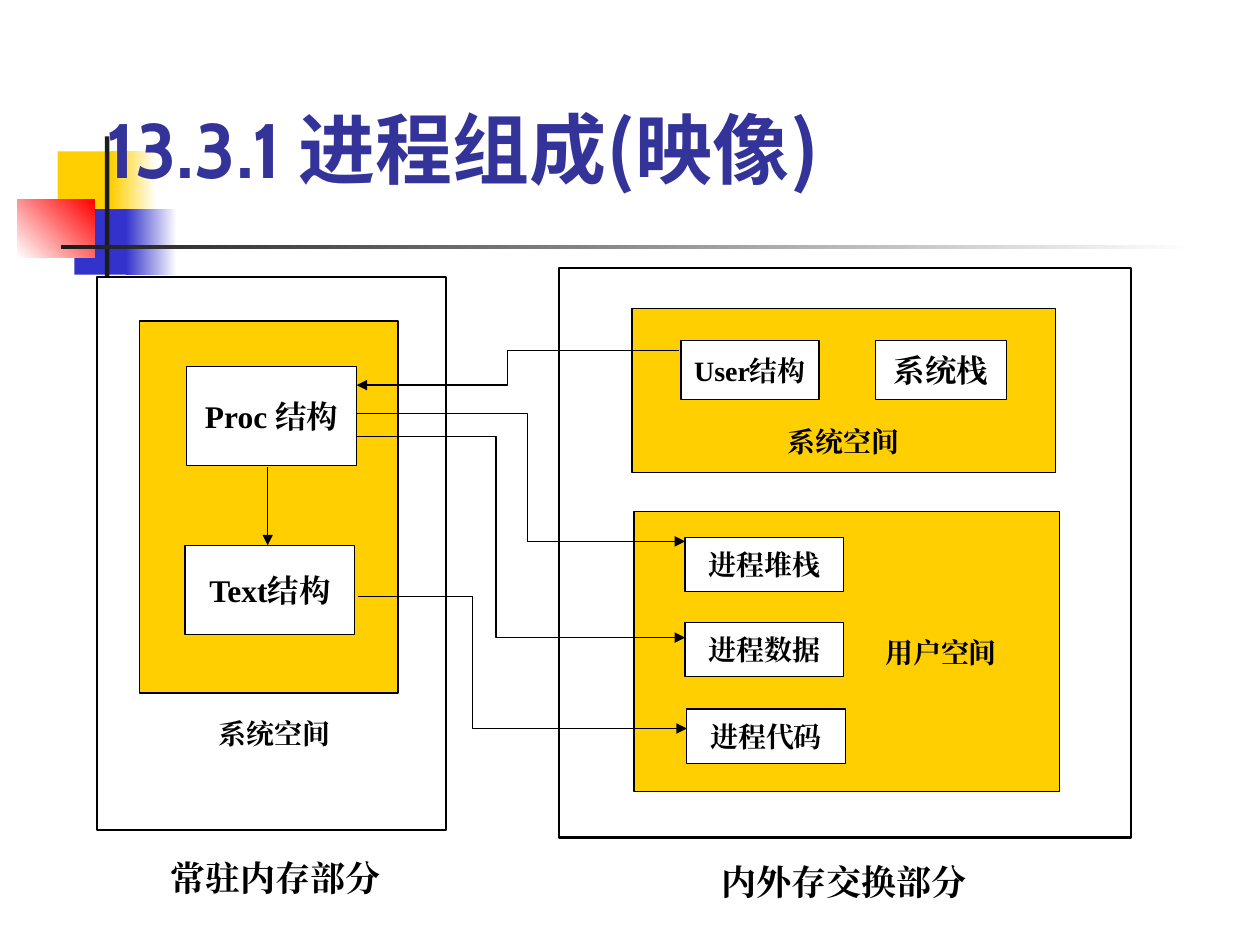
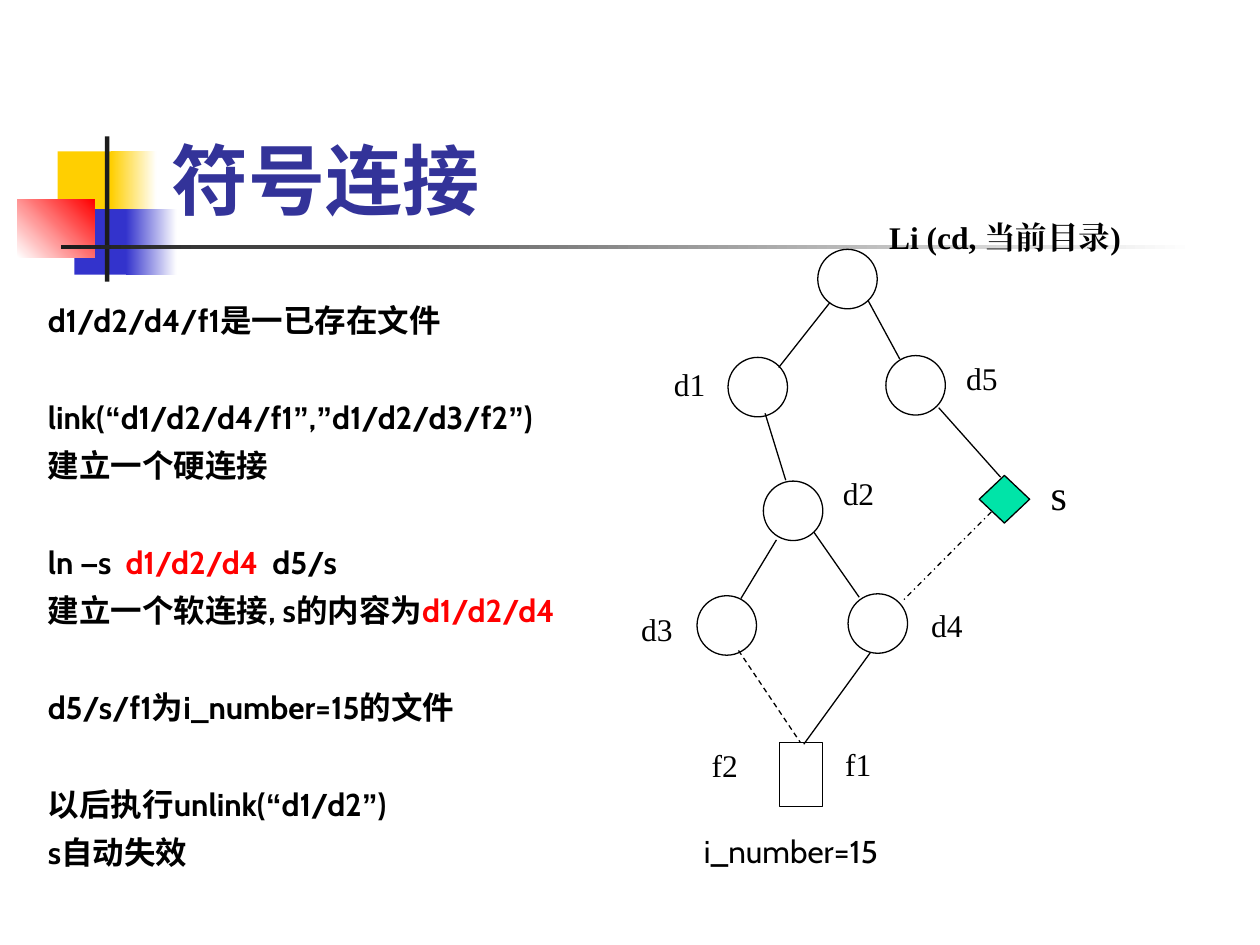
from itertools import groupby

from lxml import etree
from pptx import Presentation
from pptx.dml.color import RGBColor
from pptx.enum.dml import MSO_LINE as DASH
from pptx.enum.shapes import MSO_CONNECTOR, MSO_SHAPE as SHAPE
from pptx.enum.text import MSO_ANCHOR as ANCHOR, PP_ALIGN as ALIGN
from pptx.oxml.ns import qn
from pptx.util import Pt

BLACK = RGBColor(0x00, 0x00, 0x00)
WHITE = RGBColor(0xFF, 0xFF, 0xFF)
DARK = RGBColor(0x1C, 0x1C, 0x1C)
YELLOW = RGBColor(0xFF, 0xCF, 0x01)
BLUE = RGBColor(0x33, 0x33, 0xCC)
RED = RGBColor(0xFF, 0x00, 0x00)
GREEN = RGBColor(0x00, 0xE4, 0xA8)
TITLE_COLOR = RGBColor(0x33, 0x33, 0x99)
SERIF, SANS, CJK, QUOTES = "Times New Roman", "Cabin", "Noto Sans CJK SC", "Arial"
THIN = 0.75


def add_box(slide, kind, bounds, fill=None, line_width=THIN):
    shape = slide.shapes.add_shape(kind, *[Pt(value) for value in bounds])
    shape.shadow.inherit = False
    if fill is None:
        shape.fill.background()
    else:
        shape.fill.solid()
        shape.fill.fore_color.rgb = fill
    if line_width:
        shape.line.color.rgb = BLACK
        shape.line.width = Pt(line_width)
    else:
        shape.line.fill.background()
    return shape


def write(paragraph, text, size, font=SERIF, bold=True, color=BLACK):
    run = paragraph.add_run()
    run.text = text
    run.font.name = font
    run.font.size = Pt(size)
    run.font.bold = bold
    run.font.color.rgb = color
    east_asian = etree.SubElement(run.font._element, qn("a:ea"))
    east_asian.set("typeface", font)


presentation = Presentation()
presentation.slide_width, presentation.slide_height = Pt(720), Pt(540)
blank = presentation.slide_layouts[6]
process_slide = presentation.slides.add_slide(blank)
link_slide = presentation.slides.add_slide(blank)

# Shared decoration: bounds, first colour, second colour, gradient angle
decoration = [
    ((33, 86.5, 34.5, 37.5), YELLOW, None, 0),
    ((63.5, 86.5, 26, 37.5), YELLOW, WHITE, 0),
    ((42.5, 119.5, 33, 37.5), BLUE, None, 0),
    ((72, 119.5, 29, 37.5), BLUE, WHITE, 0),
    ((10, 114, 44, 33), WHITE, RED, 45),
    ((60, 78, 2.5, 83), DARK, None, 0),
    ((35, 140, 648, 2.5), DARK, WHITE, 0),
]
titles = [
    (process_slide, (54, 24.5, 612, 90), [("13.3.1 进程组成", SANS), ("(映像)", CJK)]),
    (link_slide, (90.7, 16.5, 613.5, 115.5), [("符号连接", SANS)]),
]
for slide, bounds, parts in titles:
    for block, start, end, angle in decoration:
        shape = add_box(slide, SHAPE.RECTANGLE, block, start, 0)
        if end is not None:
            shape.fill.gradient()
            shape.fill.gradient_angle = angle
            for stop, color in zip(shape.fill.gradient_stops, (start, end)):
                stop.color.rgb = color
    title = slide.shapes.add_textbox(*[Pt(value) for value in bounds])
    title.text_frame.word_wrap = True
    title.text_frame.vertical_anchor = ANCHOR.BOTTOM
    for text, font in parts:
        write(title.text_frame.paragraphs[0], text, 44, font, True, TITLE_COLOR)

# Slide 1: memory areas
add_box(process_slide, SHAPE.RECTANGLE, (55.4, 158.5, 199.4, 316), WHITE, 1.25)
add_box(process_slide, SHAPE.RECTANGLE, (319.5, 153.2, 327, 325.4), WHITE, 1.25)
add_box(process_slide, SHAPE.RECTANGLE, (79.8, 183.5, 147.6, 212.5), YELLOW)
system_space = add_box(process_slide, SHAPE.RECTANGLE, (361.2, 176.5, 242, 93.5), YELLOW)
user_space = add_box(process_slide, SHAPE.RECTANGLE, (362.3, 292.5, 243, 160), YELLOW)

# Slide 1: structures and process parts
boxes = [
    ((106.7, 209.3, 97, 56.7), "Proc 结构", 18),
    ((105.8, 311.6, 97, 51), "Text结构", 18),
    ((389.2, 194.5, 78.8, 34), "User结构", 16),
    ((500.5, 194.5, 74.5, 34), "系统栈", 18),
    ((391.5, 307.2, 90.6, 31), "进程堆栈", 16),
    ((391.5, 355.6, 90.6, 31), "进程数据", 16),
    ((392.5, 405.2, 90.6, 31), "进程代码", 16),
]
captions = [(system_space, "系统空间", 16), (user_space, "用户空间", 16)]
for bounds, text, size in boxes:
    captions.append((add_box(process_slide, SHAPE.RECTANGLE, bounds, WHITE), text, size))
for shape, text, size in captions:
    text_frame = shape.text_frame
    text_frame.word_wrap = False
    text_frame.vertical_anchor = ANCHOR.MIDDLE
    text_frame.paragraphs[0].alignment = ALIGN.CENTER
    write(text_frame.paragraphs[0], text, size)
system_space.text_frame.vertical_anchor = ANCHOR.BOTTOM
system_space.text_frame.margin_bottom = Pt(8)
user_space.text_frame.word_wrap = True
user_space.text_frame.margin_left = Pt(115)

# Slide 1: elbow arrows, each from start by way of a middle x to its end
arrows = []
elbows = [
    ((388, 200.2), 290.2, (203.8, 220.1)),
    ((203.8, 236.2), 301.5, (391.5, 309.4)),
    ((203.8, 249.6), 283.5, (391.5, 364.4)),
    ((204.6, 340.8), 270, (392.5, 416.3)),
]
for (start_x, start_y), middle_x, (end_x, end_y) in elbows:
    builder = process_slide.shapes.build_freeform(Pt(start_x), Pt(start_y))
    corners = [(middle_x, start_y), (middle_x, end_y), (end_x, end_y)]
    builder.add_line_segments([(Pt(x), Pt(y)) for x, y in corners], close=False)
    elbow = builder.convert_to_shape()
    elbow.shadow.inherit = False
    elbow.fill.background()
    arrows.append(elbow)

# Slide 2: directory tree nodes
for left, top in [(467.3, 142.5), (506.2, 203.2), (416, 204.2),
                  (436.2, 274.9), (398.3, 340.4), (484.6, 339.3)]:
    add_box(link_slide, SHAPE.OVAL, (left, top, 34, 34))
add_box(link_slide, SHAPE.RECTANGLE, (445.4, 424.2, 24.7, 36.5))
add_box(link_slide, SHAPE.DIAMOND, (559.6, 271.7, 28.8, 27.2), GREEN)

# Straight lines on both slides: start, end, dash
lines = [
    (process_slide, (153, 267, 153, 311.6), None),
    (link_slide, (474.3, 172.8, 445, 210), None),
    (link_slide, (496.2, 172, 514.2, 205.2), None),
    (link_slide, (437.2, 236.2, 449, 274.4), None),
    (link_slide, (443.7, 308.5, 423.4, 342), None),
    (link_slide, (465, 304, 491, 341.3), None),
    (link_slide, (497.3, 373, 459.3, 425.3), None),
    (link_slide, (422, 371.7, 457.3, 424.2), DASH.DASH),
    (link_slide, (536.4, 233, 571.8, 272.7), None),
    (link_slide, (566.5, 292.5, 515, 344.2), DASH.DASH_DOT),
]
for slide, ends, dash in lines:
    line = slide.shapes.add_connector(MSO_CONNECTOR.STRAIGHT, *[Pt(value) for value in ends])
    line.line.color.rgb = BLACK
    line.line.width = Pt(THIN)
    if dash:
        line.line.dash_style = dash
    etree.SubElement(line._element.spPr, qn("a:effectLst"))
    if slide is process_slide:
        arrows.append(line)

# Arrowheads
for arrow in arrows:
    arrow.line.color.rgb = BLACK
    arrow.line.width = Pt(THIN)
    outline = arrow._element.spPr.find(qn("a:ln"))
    etree.SubElement(outline, qn("a:tailEnd")).set("type", "triangle")

# Free labels: bounds, text, size, font, bold, alignment
labels = [
    (process_slide, (74.2, 486, 166.3, 31.7), "常驻内存部分", 20, SERIF, True, ALIGN.CENTER),
    (process_slide, (399, 488.2, 166.3, 31.7), "内外存交换部分", 20, SERIF, True, ALIGN.CENTER),
    (process_slide, (118, 406, 80, 26.6), "系统空间", 16, SERIF, True, ALIGN.LEFT),
    (link_slide, (501, 121, 160, 29), "Li (cd, 当前目录)", 18, SERIF, True, ALIGN.LEFT),
    (link_slide, (593.3, 264.2, 42.5, 36), "s", 24, SERIF, False, ALIGN.LEFT),
    (link_slide, (395.2, 471.6, 132.5, 29), "i_number=15", 18, SANS, False, ALIGN.LEFT),
]
node_names = [("d1", 378, 205.2), ("d2", 474.5, 267.1), ("d3", 359.3, 344.9),
              ("d4", 525, 342.7), ("d5", 545, 201.6), ("f1", 475.9, 421.9), ("f2", 399.6, 422.6)]
for name, left, top in node_names:
    labels.append((link_slide, (left, top, 42.5, 29), name, 18, SERIF, False, ALIGN.LEFT))
for slide, bounds, text, size, font, bold, alignment in labels:
    label = slide.shapes.add_textbox(*[Pt(value) for value in bounds])
    label.text_frame.word_wrap = True
    paragraph = label.text_frame.paragraphs[0]
    paragraph.alignment = alignment
    paragraph.space_before = Pt(0.625 * size)
    write(paragraph, text, size, font, bold)

# Slide 2: explanation in groups of lines; the link target is red after "ln" and "s"
TARGET = "d1/d2/d4"
groups = [
    [["d1/d2/d4/f1是一已存在文件"]],
    [["link(“d1/d2/d4/f1”,”d1/d2/d3/f2”)"], ["建立一个硬连接"]],
    [["ln –s  ", TARGET, "  d5/s"], ["建立一个软连接, s的内容为", TARGET]],
    [["d5/s/f1为i_number=15的文件"]],
    [["以后执行unlink(“d1/d2”)"], ["s自动失效"]],
]
body = link_slide.shapes.add_textbox(Pt(20.2), Pt(168.5), Pt(350), Pt(332.6))
body.text_frame.word_wrap = True
paragraph = body.text_frame.paragraphs[0]
for group_index, group in enumerate(groups):
    for line_index, parts in enumerate(group):
        if group_index or line_index:
            paragraph = body.text_frame.add_paragraph()
        starts_group = group_index and not line_index
        paragraph.space_before = Pt(33.7 if starts_group else 6)
        for part in parts:
            color = RED if part == TARGET else BLACK
            for is_mark, letters in groupby(part, lambda letter: letter in "“”–"):
                write(paragraph, "".join(letters), 18, QUOTES if is_mark else SANS, True, color)

presentation.save("out.pptx")
